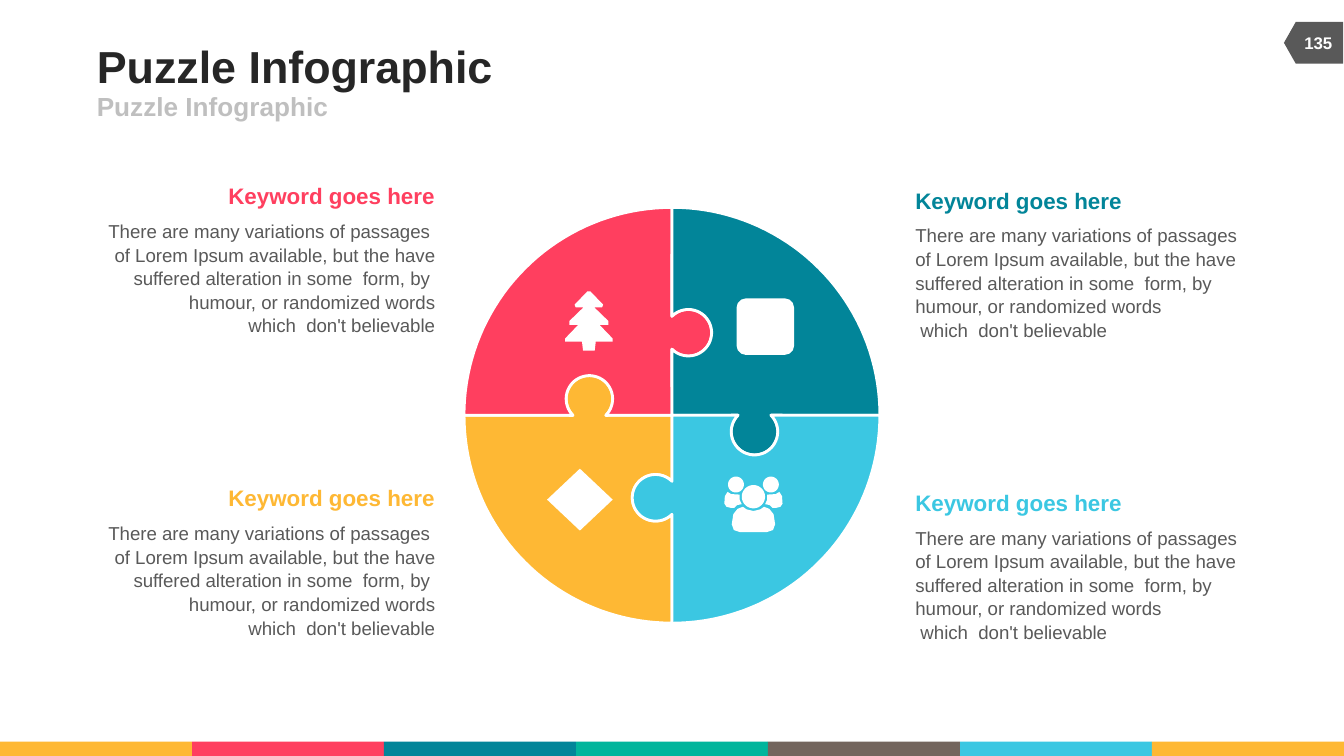
from dataclasses import dataclass
from math import cos, radians, sin

from pptx import Presentation
from pptx.dml.color import RGBColor
from pptx.enum import shapes as sh, text as tx
from pptx.util import Cm, Pt


@dataclass(frozen=True)
class Theme:
    font: str = "Arial"
    gold: str = "FEB834"
    red: str = "FF3F5F"
    teal: str = "028599"
    green: str = "01B59C"
    brown: str = "73655D"
    sky: str = "3BC7E2"
    white: str = "FFFFFF"
    dark: str = "262626"
    gray: str = "595959"
    pale: str = "BFBFBF"
    title: int = 24
    sub: int = 14
    head: int = 12
    body: int = 10
    page: int = 9


T = Theme()
LEFT, RIGHT, MID = tx.PP_ALIGN.LEFT, tx.PP_ALIGN.RIGHT, tx.PP_ALIGN.CENTER
WIDE, HIGH = 25.4, 14.29
BODY = ("of Lorem Ipsum available, but the have suffered alteration in some  form, by "
        "\vhumour, or randomized words\v which  don't believable")


def style(shape, words, size, color, bold=True, align=LEFT, wrap=False,
          anchor=tx.MSO_ANCHOR.MIDDLE, space=1.0):
    frame = shape.text_frame
    frame.text = words
    frame.word_wrap = wrap
    frame.auto_size = tx.MSO_AUTO_SIZE.NONE
    frame.vertical_anchor = anchor
    frame.margin_left = frame.margin_right = 0
    frame.margin_top = frame.margin_bottom = 0
    for para in frame.paragraphs:
        para.alignment = align
        para.line_spacing = space
        for run in para.runs:
            font = run.font
            font.name, font.size, font.bold = T.font, Pt(size), bold
            font.color.rgb = RGBColor.from_string(color)


def label(slide, box, words, size, color, **opts):
    style(slide.shapes.add_textbox(*map(Cm, box)), words, size, color, **opts)


def paint(shape, fill, line=None):
    shape.shadow.inherit = False
    shape.fill.solid()
    shape.fill.fore_color.rgb = RGBColor.from_string(fill)
    if line:
        shape.line.color.rgb = RGBColor.from_string(line)
        shape.line.width = Pt(1.5)
    else:
        shape.line.fill.background()


def block(slide, kind, box, fill):
    shape = slide.shapes.add_shape(kind, *map(Cm, box))
    paint(shape, fill)
    return shape


def arc(mid, rad, start, end, steps=40):
    """Points on an arc; x + yj, with y pointing down."""
    turns = [radians(start + (end - start) * i / steps) for i in range(steps + 1)]
    return [mid + rad * complex(cos(a), sin(a)) for a in turns]


def mirror(half):
    return half + [-p.conjugate() for p in reversed(half)]


def outline(slide, origin, loops, fill, line=None):
    loops = [[(Cm((origin + p).real), Cm((origin + p).imag)) for p in loop]
             for loop in loops]
    pen = slide.shapes.build_freeform(*loops[0][0])
    for i, loop in enumerate(loops):
        if i:
            pen.move_to(*loop[0])
        pen.add_line_segments(loop[1:], close=True)
    paint(pen.convert_to_shape(), fill, line)


def puzzle(slide):
    # One piece, turned by quarters around the centre
    rad = 3.93
    edge = [0j, *arc(1.56 + 0.31j, 0.44, 225, -45), complex(rad)]
    piece = [p * -1j for p in edge] + arc(0, rad, -90, 0) + edge[::-1]
    for turn, color in ((2, T.gold), (3, T.red), (0, T.teal), (1, T.sky)):
        outline(slide, 12.7 + 7.85j, [[p * 1j ** turn for p in piece]], color, T.white)


def icons(slide):
    tree = [0.03, 0.27 + 0.25j, 0.25 + 0.3j, 0.1 + 0.3j, 0.37 + 0.56j,
            0.37 + 0.63j, 0.2 + 0.63j, 0.45 + 0.89j, 0.45 + 0.95j,
            0.13 + 0.95j, 0.11 + 1.12j]
    outline(slide, 11.13 + 5.51j, [mirror([complex(p) for p in tree])], T.white)

    # Group of three people
    trunk = [0.64j, 0.13 + 0.61j, 0.2 + 0.56j, 0.3 + 0.6j, 0.38 + 0.7j,
             0.41 + 0.89j, 0.37 + 1j, 0.25 + 1.04j]
    arm = [0.26 + 0.33j, 0.42 + 0.32j, 0.49 + 0.28j, 0.54 + 0.36j, 0.55 + 0.5j,
           0.51 + 0.56j, 0.43 + 0.58j, 0.36 + 0.58j, 0.31 + 0.53j,
           0.22 + 0.51j, 0.26 + 0.43j]
    side = [arm, arc(0.33 + 0.14j, 0.15, 0, 360)]
    other = [[-p.conjugate() for p in loop] for loop in side]
    face = arc(0.37j, 0.22, 0, 360)
    outline(slide, 14.24 + 9.02j, [mirror(trunk), face, *side, *other], T.white)

    # Plain symbols
    kinds = sh.MSO_SHAPE
    block(slide, kinds.ROUNDED_RECTANGLE, (13.92, 5.64, 1.09, 1.07), T.white)
    block(slide, kinds.DIAMOND, (10.34, 8.86, 1.24, 1.17), T.white)


def note(slide, left, top, color, align):
    first = "There are many variations of passages"
    first += " " if align == RIGHT else ""
    opts = dict(align=align, anchor=tx.MSO_ANCHOR.TOP)
    label(slide, (left, top + 0.69, 6.32, 2.13), first + "\n" + BODY, T.body, T.gray,
          bold=False, wrap=True, space=1.05, **opts)
    wide = 3.94
    shift = 6.32 - wide if align == RIGHT else 0
    label(slide, (left + shift, top, wide, 0.51), "Keyword goes here",
          T.head, color, **opts)


def main():
    deck = Presentation()
    deck.slide_width, deck.slide_height = Cm(WIDE), Cm(HIGH)
    slide = deck.slides.add_slide(deck.slide_layouts[5])

    # Colour strip along the bottom
    strip = (T.gold, T.red, T.teal, T.green, T.brown, T.sky, T.gold)
    step = WIDE / len(strip)
    for i, color in enumerate(strip):
        block(slide, sh.MSO_SHAPE.RECTANGLE, (i * step, 14.02, step, 0.27), color)

    # Page tag
    tag = block(slide, sh.MSO_SHAPE.FLOWCHART_OFFPAGE_CONNECTOR,
                (24.43, 0.25, 0.79, 1.12), T.gray)
    tag.rotation = 90
    label(slide, (24.38, 0.43, 1.07, 0.76), "135", T.page, T.white, align=MID)

    # Title and subtitle
    title = slide.shapes.title
    title.left, title.top, title.width, title.height = map(Cm, (1.83, 0.74, 17.5, 1))
    style(title, "Puzzle Infographic", T.title, T.dark)
    label(slide, (1.83, 1.73, 11.43, 0.56), "Puzzle Infographic", T.sub, T.pale)

    # Puzzle with its four notes
    puzzle(slide)
    for left, top, align, colors in ((17.3, 3.53, LEFT, (T.teal, T.sky)),
                                     (1.9, 3.45, RIGHT, (T.red, T.gold))):
        for row, color in enumerate(colors):
            note(slide, left, top + row * 5.71, color, align)
    icons(slide)

    deck.save("out.pptx")


if __name__ == "__main__":
    main()
